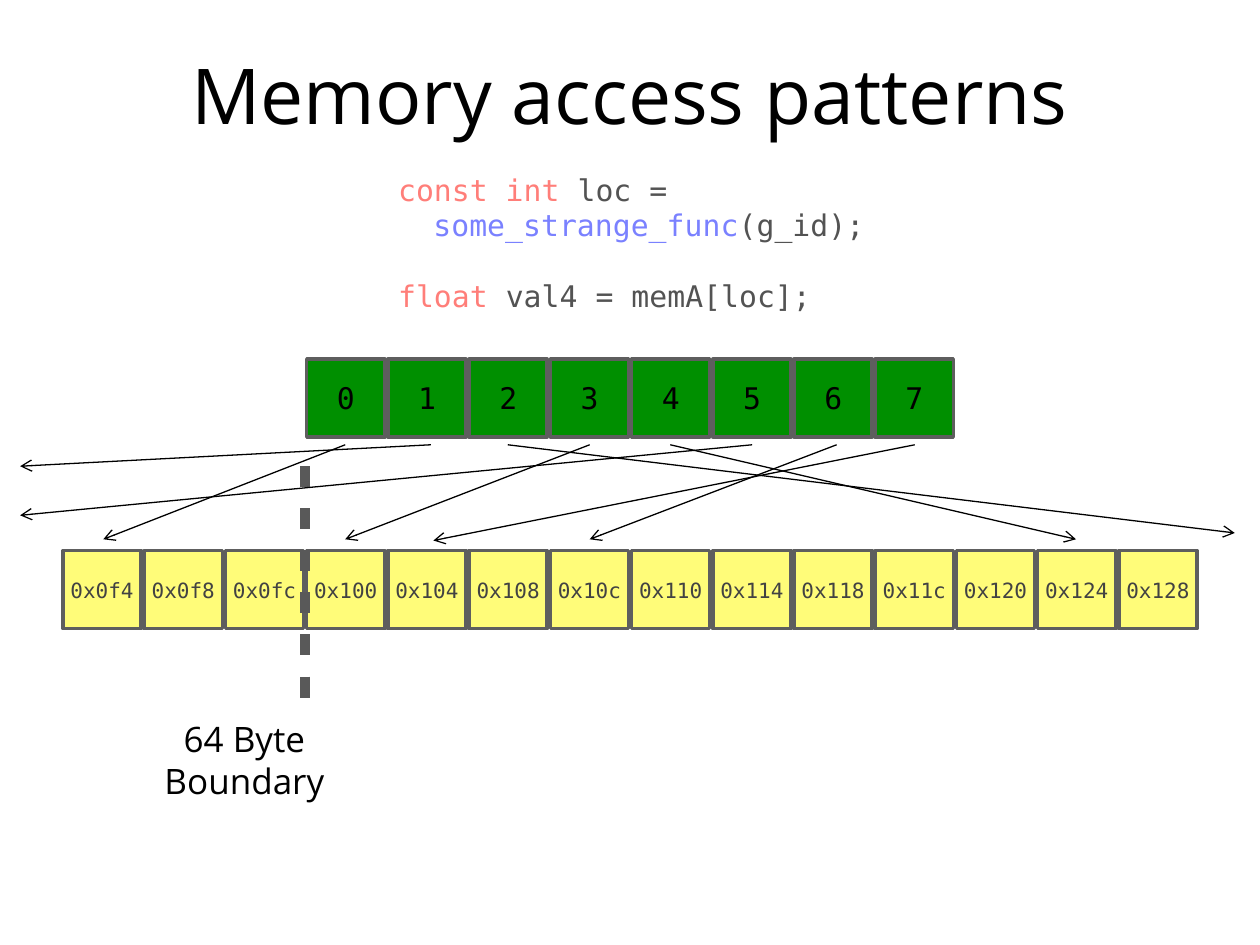
from typing import NamedTuple

from lxml.etree import SubElement
from pptx import Presentation
from pptx.dml.color import RGBColor
from pptx.enum.shapes import MSO_CONNECTOR, MSO_SHAPE
from pptx.enum.text import MSO_ANCHOR, PP_ALIGN
from pptx.oxml.ns import qn
from pptx.shapes.connector import Connector
from pptx.slide import Slide
from pptx.text.text import TextFrame
from pptx.util import Inches, Pt

BLACK = RGBColor(0x00, 0x00, 0x00)
CODE_GRAY = RGBColor(0x53, 0x53, 0x53)
ADDRESS_GRAY = RGBColor(0x42, 0x42, 0x42)
BORDER_GRAY = RGBColor(0x5E, 0x5E, 0x5E)
DASH_GRAY = RGBColor(0x59, 0x59, 0x59)
KEYWORD_RED = RGBColor(0xFF, 0x7E, 0x79)
FUNCTION_BLUE = RGBColor(0x7A, 0x81, 0xFF)
THREAD_GREEN = RGBColor(0x00, 0x8F, 0x00)
MEMORY_YELLOW = RGBColor(0xFF, 0xFC, 0x79)

MONO = "DejaVu Sans Mono"
SANS = "Open Sans"

CELL = 0.62
GRID_LEFT = 0.5
ADDRESS_COUNT = 14
PITCH = (9 - CELL) / (ADDRESS_COUNT - 1)
ARROW_TOP = 3.53


class Box(NamedTuple):
    left: float
    top: float
    width: float
    height: float


class TextStyle(NamedTuple):
    font: str
    size: float
    color: RGBColor


class CellRow(NamedTuple):
    labels: list[str]
    first_column: int
    top: float
    fill: RGBColor
    label_width: float
    label_height: float
    style: TextStyle


class CodeLine(NamedTuple):
    tokens: list[tuple[str, RGBColor]]
    indent: float = 0
    space_before: float = 0


class Access(NamedTuple):
    start_x: float
    end_x: float
    end_y: float


ROWS = [
    CellRow([str(thread) for thread in range(8)], 3, 2.85, THREAD_GREEN,
            0.22, 0.36, TextStyle(MONO, 17, BLACK)),
    CellRow([f"0x{0xF4 + 4 * word:03x}" for word in range(ADDRESS_COUNT)], 0, 4.37,
            MEMORY_YELLOW, 0.59, 0.28, TextStyle(MONO, 12, ADDRESS_GRAY)),
]

CODE = [
    CodeLine([("const int", KEYWORD_RED), (" loc =", CODE_GRAY)]),
    CodeLine([("some_strange_func", FUNCTION_BLUE), ("(g_id);", CODE_GRAY)], indent=0.28),
    CodeLine([("float", KEYWORD_RED), (" val4 = memA[loc];", CODE_GRAY)], space_before=20),
]

ACCESSES = [
    Access(2.74, 0.82, 4.28),
    Access(4.03, 9.8, 4.23),
    Access(3.42, 0.16, 3.7),
    Access(4.68, 2.74, 4.28),
    Access(5.32, 8.54, 4.28),
    Access(5.97, 0.16, 4.09),
    Access(6.64, 4.68, 4.28),
    Access(7.26, 3.44, 4.29),
]


def add_frame(slide: Slide, box: Box, inset: float, wrap: bool = True) -> TextFrame:
    frame = slide.shapes.add_textbox(*map(Inches, box)).text_frame
    frame.word_wrap = wrap
    frame.margin_left = frame.margin_right = Inches(inset)
    frame.margin_top = frame.margin_bottom = Inches(inset)
    return frame


def add_label(slide: Slide, text: str, box: Box, style: TextStyle, wrap: bool = False) -> None:
    frame = add_frame(slide, box, 0.04, wrap)
    frame.vertical_anchor = MSO_ANCHOR.MIDDLE
    paragraph = frame.paragraphs[0]
    paragraph.text = text
    paragraph.alignment = PP_ALIGN.CENTER
    paragraph.font.name = style.font
    paragraph.font.size = Pt(style.size)
    paragraph.font.color.rgb = style.color


def add_code(slide: Slide, lines: list[CodeLine], box: Box) -> None:
    frame = add_frame(slide, box, 0)
    for index, line in enumerate(lines):
        paragraph = frame.add_paragraph() if index else frame.paragraphs[0]
        paragraph.font.name = MONO
        paragraph.font.size = Pt(17)
        paragraph.space_before = Pt(line.space_before)
        properties = paragraph._p.get_or_add_pPr()
        properties.set("marL", str(Inches(0.76 + line.indent)))
        properties.set("indent", "0")
        for text, color in line.tokens:
            run = paragraph.add_run()
            run.text = text
            run.font.color.rgb = color


def cell_left(column: int) -> float:
    return GRID_LEFT + column * PITCH


def add_cells(slide: Slide, row: CellRow) -> None:
    for column in range(row.first_column, row.first_column + len(row.labels)):
        box = Box(cell_left(column), row.top, CELL, CELL)
        cell = slide.shapes.add_shape(MSO_SHAPE.RECTANGLE, *map(Inches, box))
        cell.shadow.inherit = False
        cell.fill.solid()
        cell.fill.fore_color.rgb = row.fill
        cell.line.color.rgb = BORDER_GRAY
        cell.line.width = Pt(2)


def add_cell_labels(slide: Slide, row: CellRow) -> None:
    for column, text in enumerate(row.labels, row.first_column):
        box = Box(cell_left(column) + (CELL - row.label_width) / 2,
                  row.top + (CELL - row.label_height) / 2,
                  row.label_width, row.label_height)
        add_label(slide, text, box, row.style)


def add_line(slide: Slide, start: tuple[float, float], end: tuple[float, float],
             color: RGBColor, width: float) -> Connector:
    line = slide.shapes.add_connector(MSO_CONNECTOR.STRAIGHT, *map(Inches, start + end))
    line.line.color.rgb = color
    line.line.width = Pt(width)
    SubElement(line._element.spPr, qn("a:effectLst"))
    return line


def add_boundary(slide: Slide) -> None:
    x = cell_left(3) - (PITCH - CELL) / 2
    boundary = add_line(slide, (x, 3.7), (x, 5.66), DASH_GRAY, 6)
    dashes = SubElement(boundary.line._get_or_add_ln(), qn("a:custDash"))
    SubElement(dashes, qn("a:ds"), d="200000", sp="200000")
    add_label(slide, "64 Byte Boundary", Box(1.19, 5.65, 1.5, 0.75),
              TextStyle(SANS, 20, BLACK), wrap=True)


def add_access(slide: Slide, access: Access) -> None:
    arrow = add_line(slide, (access.start_x, ARROW_TOP), (access.end_x, access.end_y),
                     BLACK, 0.75)
    SubElement(arrow.line._get_or_add_ln(), qn("a:tailEnd"), type="arrow")


def main() -> None:
    presentation = Presentation()
    presentation.slide_width = Inches(10)
    presentation.slide_height = Inches(7.5)
    slide = presentation.slides.add_slide(presentation.slide_layouts[6])

    add_code(slide, CODE, Box(2.4, 1.36, 5.2, 1.29))
    for row in ROWS:
        add_cells(slide, row)
    add_boundary(slide)
    for row in ROWS:
        add_cell_labels(slide, row)
    for access in ACCESSES:
        add_access(slide, access)
    add_label(slide, "Memory access patterns", Box(0.5, 0.12, 9, 1.25),
              TextStyle(SANS, 44, BLACK), wrap=True)

    presentation.save("out.pptx")


if __name__ == "__main__":
    main()
